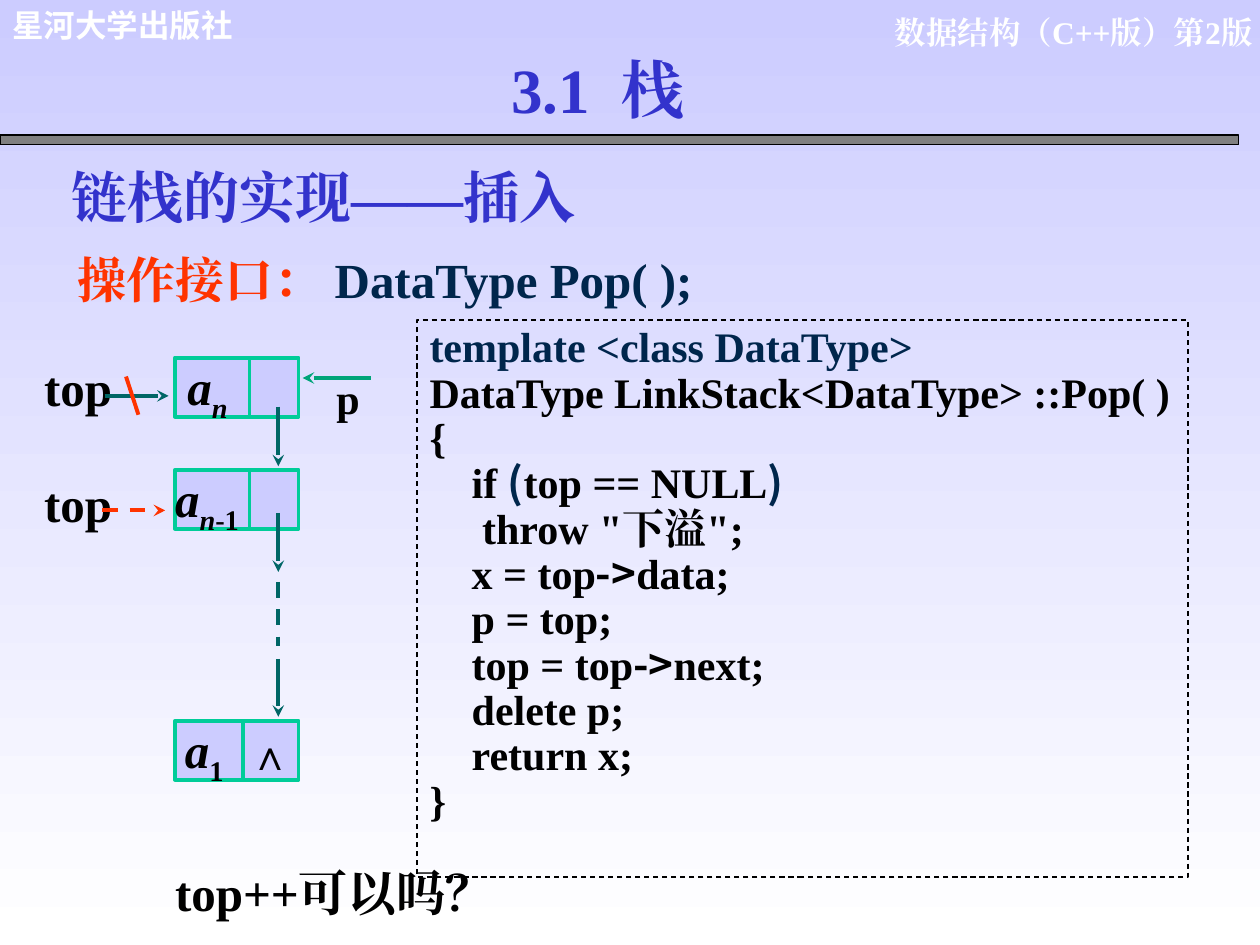
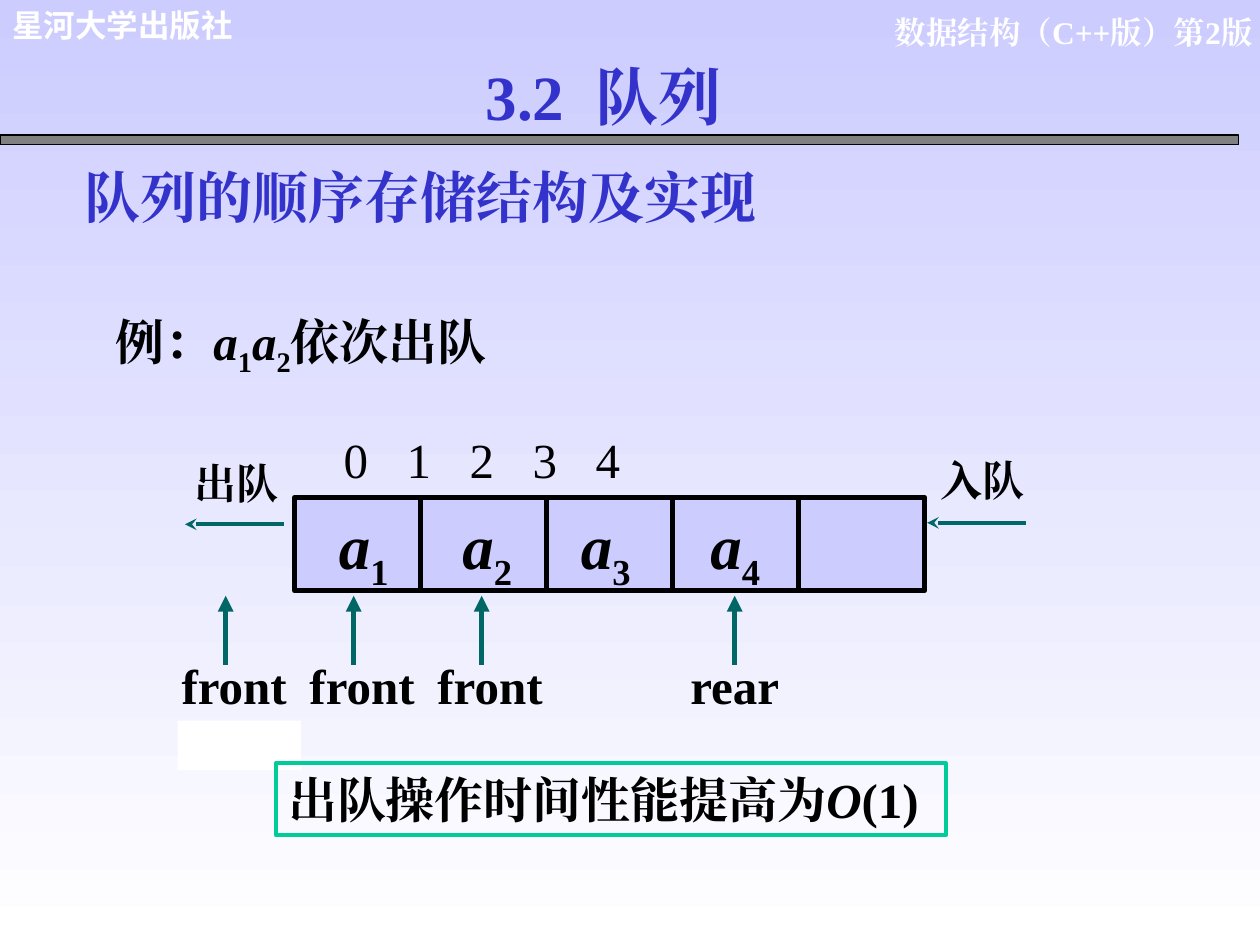
import pptx
import pptx.dml.color
import pptx.enum.dml
import pptx.enum.shapes
import pptx.enum.text
import pptx.oxml
import pptx.oxml.ns
import pptx.util
from lxml import etree

COLORS = {
    "black": "000000", "white": "FFFFFF", "bar": "808080", "heading": "3333CC",
    "navy": "00264C", "red": "FF3300", "teal": "006666", "green": "00CC99",
    "dark_green": "00A479", "lavender": "CCCCFF",
}
SERIF, SANS = "Times New Roman", "Noto Sans CJK SC"
ALIGN = pptx.enum.text.PP_ALIGN
ITALIC = {"italic": True}
SUB = {"base": -25}
NAVY = {"color": "navy"}
PAREN = {"color": "navy", "name": SANS}
ARROW = {"name": SANS}
INSETS = (0.25, 0.13, 0.25, 0.13)
NO_INSETS = (0, 0, 0, 0.1)
Cm = pptx.util.Cm


def rgb(name):
    return pptx.dml.color.RGBColor.from_string(COLORS[name])


def add_xml(parent, tag, **attributes):
    element = etree.SubElement(parent, pptx.oxml.ns.qn(tag))
    for key, value in attributes.items():
        element.set(key, str(value))
    return element


def set_all(target, values):
    for key, value in values.items():
        setattr(target, key, value)


class Deck:
    """Holds the shared style and the slide being drawn."""

    def __init__(self):
        self.presentation = pptx.Presentation()
        self.presentation.slide_width = Cm(25.4)
        self.presentation.slide_height = Cm(19.05)
        self.slide = None
        fill = self.presentation.slide_master.background.fill
        fill.gradient()
        fill.gradient_angle = 270
        for stop, name in zip(fill.gradient_stops, ("lavender", "white")):
            stop.color.rgb = rgb(name)

    def start(self, title, title_box, heading, heading_box):
        """Adds a slide with its header, bar, title and heading."""
        self.slide = self.presentation.slides.add_slide(self.presentation.slide_layouts[1])
        header = {"size": 18, "color": "white"}
        self.text((16.23, 0.13, 9.27, 1.02), [["数据结构（C++版）第2版"]], align=ALIGN.RIGHT, **header)
        self.text((0, 0, 6.88, 1.02), [["星河大学出版社"]], name="Arial", **header)
        self.box((0, 2.72, 24.97, 0.2), "bar", "black", 0.75)
        title_shape, body = self.slide.placeholders
        self.place(title_shape, title_box)
        self.fill_text(title_shape, [[title]], size=36, color="heading", align=ALIGN.CENTER, shadow=True)
        self.place(body, heading_box)
        self.fill_text(body, [[heading]], size=32, color="heading")

    def place(self, shape, box):
        set_all(shape, dict(zip(("left", "top", "width", "height"), map(Cm, box))))

    def fill_text(self, shape, lines, insets=INSETS, align=ALIGN.LEFT, spacing=1.0,
                  indents=None, tabs=(), **style):
        frame = shape.text_frame
        margins = zip(("margin_left", "margin_top", "margin_right", "margin_bottom"), map(Cm, insets))
        set_all(frame, {"word_wrap": True, "auto_size": pptx.enum.text.MSO_AUTO_SIZE.NONE,
                        "vertical_anchor": pptx.enum.text.MSO_ANCHOR.TOP, **dict(margins)})
        for index, line in enumerate(lines):
            paragraph = frame.add_paragraph() if index else frame.paragraphs[0]
            set_all(paragraph, {"alignment": align, "line_spacing": spacing,
                                "space_before": pptx.util.Pt(0)})
            properties = paragraph._p.get_or_add_pPr()
            properties.set("marL", str(Cm(indents[index] if indents else 0)))
            properties.set("indent", "0")
            add_xml(properties, "a:buNone")
            if tabs:
                tab_list = add_xml(properties, "a:tabLst")
                for tab in tabs:
                    add_xml(tab_list, "a:tab", pos=Cm(tab), algn="l")
            for piece in line:
                text, changes = (piece, {}) if isinstance(piece, str) else piece
                self.add_run(paragraph, text, **{**style, **changes})

    def add_run(self, paragraph, text, size=28, color="black", name=SERIF, bold=True,
                italic=False, base=0, shadow=False):
        run = paragraph.add_run()
        run.text = text
        set_all(run.font, {"size": pptx.util.Pt(size), "bold": bold, "italic": italic})
        run.font.color.rgb = rgb(color)
        properties = run._r.get_or_add_rPr()
        if base:
            properties.set("baseline", str(base * 1000))
        if shadow:
            outer = add_xml(add_xml(properties, "a:effectLst"), "a:outerShdw", dist=25400, dir=2700000)
            add_xml(outer, "a:srgbClr", val=COLORS["bar"])
        for tag in ("a:latin", "a:ea"):
            add_xml(properties, tag, typeface=name)

    def text(self, box, lines, **style):
        shape = self.slide.shapes.add_textbox(*map(Cm, box))
        self.fill_text(shape, lines, **style)

    def box(self, box, fill=None, line=None, width=2.25, dash=None, lines=None, **style):
        shape = self.slide.shapes.add_shape(pptx.enum.shapes.MSO_SHAPE.RECTANGLE, *map(Cm, box))
        shape.shadow.inherit = False
        if fill:
            shape.fill.solid()
            shape.fill.fore_color.rgb = rgb(fill)
        else:
            shape.fill.background()
        if line:
            self.stroke(shape.line, line, width, dash)
        else:
            shape.line.fill.background()
        if lines:
            self.fill_text(shape, lines, **style)

    def stroke(self, line, color, width, dash):
        line.color.rgb = rgb(color)
        line.width = pptx.util.Pt(width)
        if dash:
            line.dash_style = pptx.enum.dml.MSO_LINE.DASH

    def line(self, start, end, color="teal", width=2.25, head=None, dash=None):
        kind = pptx.enum.shapes.MSO_CONNECTOR.STRAIGHT
        connector = self.slide.shapes.add_connector(kind, *map(Cm, start + end))
        self.stroke(connector.line, color, width, dash)
        if head:
            add_xml(connector.line._get_or_add_ln(), "a:tailEnd", type=head)
        add_xml(connector._element.spPr, "a:effectLst")

    def node(self, top, divider, runs, inset):
        """Draws a linked-list node: data field and pointer field."""
        self.box((3.53, top, 2.49, 1.19), "lavender", "green", lines=[runs],
                 insets=(inset, 0, 0, 0.2), spacing=0.9)
        self.line((divider, top), (divider, top + 1.19), "green")

    def pointer(self, x, label):
        """Draws an upward arrow with its label below."""
        self.line((x, 13.4), (x, 12.01), width=3, head="triangle")
        self.text((x - 1.14, 13.08, 2.8, 1.45), [[label]])


def build_stack_slide(deck):
    deck.start("3.1  栈", (6.45, 0.89, 11.2, 1.78), "链栈的实现——插入", (1.19, 3.15, 11.63, 1.63))
    deck.text((1.32, 4.9, 15.14, 1.45), [[("操作接口： ", {"color": "red"}), ("DataType Pop( );", NAVY)]])

    # Code
    code = [
        (0, [("template <class DataType>", NAVY)]),
        (0, ["DataType LinkStack<DataType> ::Pop( )"]),
        (0, ["{"]),
        (0.85, ["if ", ("(", PAREN), "top == NULL", (")", PAREN)]),
        (1.06, ["throw \"下溢\";"]),
        (0.85, ["x = top", ("->", ARROW), "data;"]),
        (0.85, ["p = top;"]),
        (0.85, ["top = top", ("->", ARROW), "next;"]),
        (0.85, ["delete p;"]),
        (0.85, ["return x;"]),
        (0, ["}"]),
    ]
    indents, lines = zip(*code)
    deck.box((8.41, 6.45, 15.54, 11.23), None, "black", 0.75, True, lines,
             indents=indents, size=24, spacing=0.9, align=ALIGN.JUSTIFY)

    # Linked nodes
    italic_sub = {**ITALIC, **SUB}
    deck.node(7.21, 5.03, [("a", ITALIC), ("n", italic_sub)], 0.25)
    deck.node(9.47, 5.03, [("a", ITALIC), ("n", italic_sub), ("-1", SUB)], 0)
    deck.node(14.53, 4.9, [("a", ITALIC), ("1", SUB)], 0.2)
    deck.text((4.78, 14.55, 1.24, 1.27), [["∧"]], size=24, align=ALIGN.CENTER)
    for top, bottom in ((8.2, 9.4), (10.34, 11.53), (13.28, 14.45)):
        deck.line((5.61, top), (5.61, bottom), head="stealth")
    deck.line((5.61, 11.73), (5.61, 13.03), dash=True)

    # Pointers: top before and after, and p
    for top in (7.21, 9.55):
        deck.text((0.89, top, 1.45, 1.3), [["top"]], insets=NO_INSETS)
    deck.line((2.11, 7.98), (3.4, 7.98), head="stealth")
    deck.line((2.06, 10.29), (3.33, 10.29), "red", head="stealth", dash=True)
    deck.line((2.54, 7.59), (2.79, 8.36), "red")
    deck.line((7.47, 7.62), (6.1, 7.62), "dark_green", head="stealth")
    deck.text((6.53, 7.37, 0.99, 1.27), [["p"]], size=24)

    deck.text((3.53, 17.25, 11.13, 1.45), [["top++可以吗？"]], insets=(0, 0.13, 0, 0.13))


def build_queue_slide(deck):
    deck.start("3.2  队列", (6.71, 1.02, 10.92, 1.78), "队列的顺序存储结构及实现", (1.45, 3.15, 17.15, 1.63))
    deck.text((2.08, 6.15, 9.37, 1.6),
              [["例：", ("a", ITALIC), ("1", SUB), ("a", ITALIC), ("2", SUB), "依次出队"]])

    # Array cells, indices and elements
    step = 2.54
    for index in range(5):
        deck.box((5.94 + index * step, 10.03, step, 1.88), "lavender", "black", 3)
    deck.text((6.68, 8.53, 11.89, 1.45), [["\t".join("01234")]], bold=False,
              tabs=[step * index for index in range(1, 5)])
    for number, left in enumerate((6.58, 9.07, 11.46, 14.07), 1):
        deck.text((left, 10.08, 1.63, 2.01), [[("a", ITALIC), (str(number), SUB)]], size=36)

    # Leaving and entering
    for label, left, label_top, tip, y in (("出队", 3.68, 9.09, 3.73, 10.57),
                                           ("入队", 18.72, 9.04, 18.69, 10.54)):
        deck.text((left, label_top, 2.54, 1.27), [[label]], size=24)
        deck.line((tip + 1.99, y), (tip, y), head="stealth")

    # Front and rear
    deck.box((3.58, 14.53, 2.49, 0.99), "white")
    for index in range(3):
        deck.pointer(4.55 + index * 2.58, "front")
    deck.pointer(14.81, "rear")

    deck.box((5.56, 15.39, 13.51, 1.45), None, "green",
             lines=[["出队操作时间性能提高为", ("O", ITALIC), "(1)"]])


def main():
    deck = Deck()
    build_stack_slide(deck)
    build_queue_slide(deck)
    deck.presentation.save("out.pptx")


if __name__ == "__main__":
    main()
